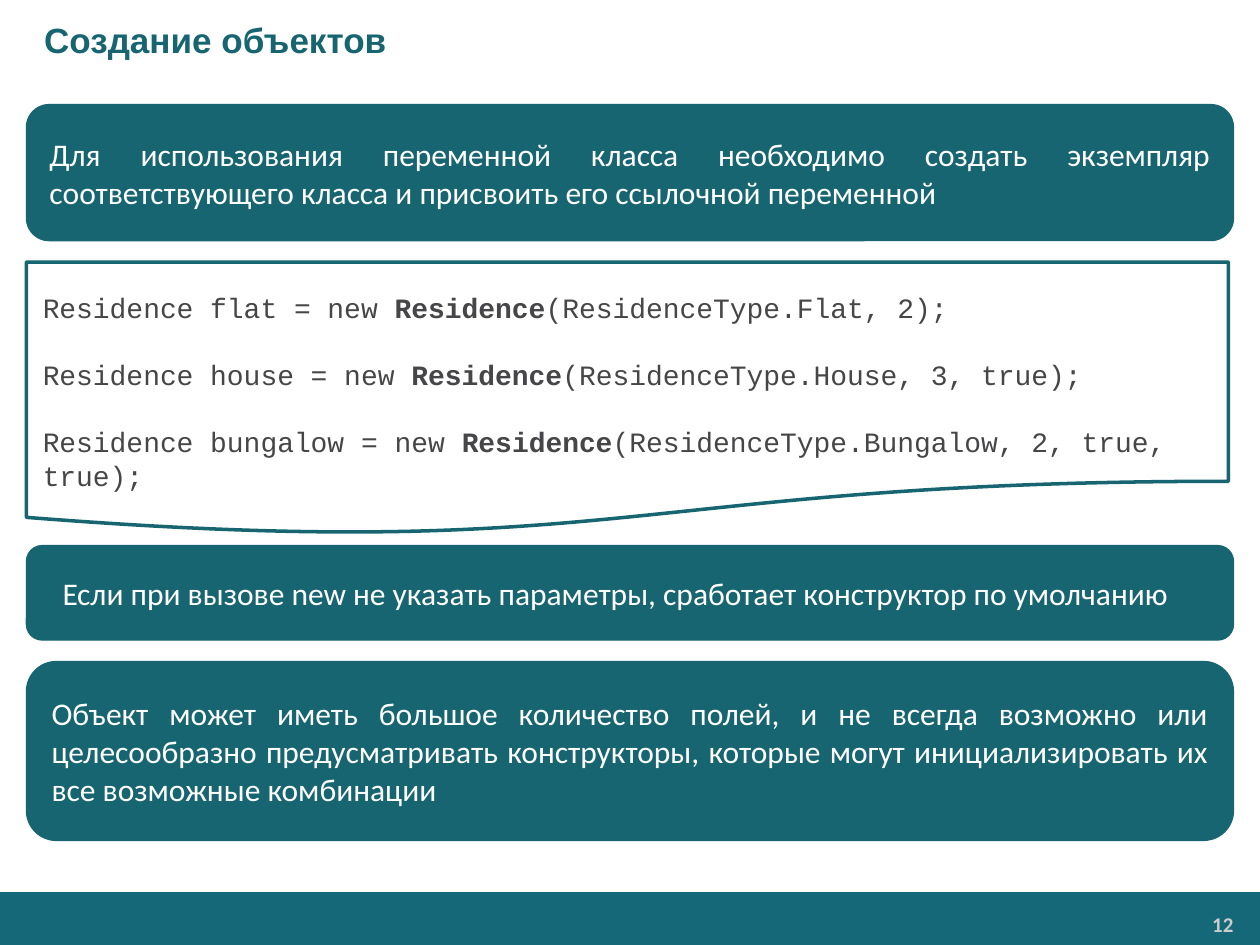
import pptx
import pptx.util
import pptx.dml.color
import pptx.enum.shapes
import pptx.enum.text

Inches = pptx.util.Inches
Pt = pptx.util.Pt
RGB = pptx.dml.color.RGBColor
SHAPE = pptx.enum.shapes.MSO_SHAPE
ALIGN = pptx.enum.text.PP_ALIGN
ANCHOR = pptx.enum.text.MSO_ANCHOR

TEAL = RGB(0x17, 0x65, 0x71)
BAND = RGB(0x14, 0x68, 0x78)
WHITE = RGB(0xFF, 0xFF, 0xFF)
GRAY = RGB(0x46, 0x45, 0x47)
PALE = RGB(0xCC, 0xCC, 0xCC)

LEFT = 0.21
NOTES = [
    (0.83, 1.08, 0, "Для использования переменной класса необходимо создать экземпляр "
     "соответствующего класса и присвоить его ссылочной переменной"),
    (4.33, 0.75, 0.12, "Если при вызове new не указать параметры, сработает "
     "конструктор по умолчанию"),
    (5.25, 1.42, 0, "Объект может иметь большое количество полей, и не всегда возможно "
     "или целесообразно предусматривать конструкторы, которые могут "
     "инициализировать их все возможные комбинации"),
]
CODE = [
    ("flat", "Flat, 2"),
    ("house", "House, 3, true"),
    ("bungalow", "Bungalow, 2, true, true"),
]


def style(par, face, size, color, bold=False):
    font = par.font
    font.name, font.size, font.bold = face, Pt(size), bold
    font.color.rgb = color


def inset(frame, side, top, base):
    frame.word_wrap = True
    frame.margin_left = frame.margin_right = Inches(side)
    frame.margin_top, frame.margin_bottom = Inches(top), Inches(base)


def add_box(slide, kind, area, fill, line=None, width=0.75):
    box = slide.shapes.add_shape(kind, *map(Inches, area))
    box.shadow.inherit = False
    box.fill.solid()
    box.fill.fore_color.rgb = fill
    if line is None:
        box.line.fill.background()
    else:
        box.line.color.rgb = line
        box.line.width = Pt(width)
    return box


def add_label(slide, area, text, size, color, face, align, side):
    frame = slide.shapes.add_textbox(*map(Inches, area)).text_frame
    inset(frame, side, 0.04, 0.04)
    frame.vertical_anchor = ANCHOR.MIDDLE
    par = frame.paragraphs[0]
    par.text, par.alignment = text, align
    style(par, face, size, color, True)


def add_note(slide, top, height, indent, text):
    area = (LEFT, top, 9.58, height)
    frame = add_box(slide, SHAPE.ROUNDED_RECTANGLE, area, TEAL, TEAL).text_frame
    inset(frame, 0.13, 0.06, 0.06)
    frame.margin_left = Inches(0.13 + indent)
    frame.vertical_anchor = ANCHOR.MIDDLE
    par = frame.paragraphs[0]
    par.text, par.alignment = text, ALIGN.JUSTIFY
    style(par, "Calibri", 18, WHITE)


def add_code(slide):
    area = (LEFT, 2.08, 9.54, 2.17)
    frame = add_box(slide, SHAPE.FLOWCHART_DOCUMENT, area, WHITE, TEAL, 2).text_frame
    inset(frame, 0.13, 0.23, 0)
    frame.vertical_anchor = ANCHOR.TOP
    for i, (name, args) in enumerate(CODE):
        par = frame.add_paragraph() if i else frame.paragraphs[0]
        par.alignment = ALIGN.LEFT
        if i:
            par.space_before = Pt(19)
        style(par, "Courier New", 16, GRAY)
        par.add_run().text = f"Residence {name} = new "
        call = par.add_run()
        call.text, call.font.bold = "Residence", True
        par.add_run().text = f"(ResidenceType.{args});"


def main():
    deck = pptx.Presentation()
    deck.slide_width, deck.slide_height = Inches(10), Inches(7.5)
    slide = deck.slides.add_slide(deck.slide_layouts[6])
    add_box(slide, SHAPE.RECTANGLE, (0, 7.08, 10, 0.42), BAND)
    add_label(slide, (8.23, 7.19, 1.63, 0.28), "12", 12, PALE, "Calibri", ALIGN.RIGHT, 0.07)
    add_label(slide, (0, 0, 10, 0.63), "Создание объектов", 20, TEAL, "Arial", ALIGN.LEFT, 0.35)
    for note in NOTES:
        add_note(slide, *note)
    add_code(slide)
    deck.save("out.pptx")


if __name__ == "__main__":
    main()
